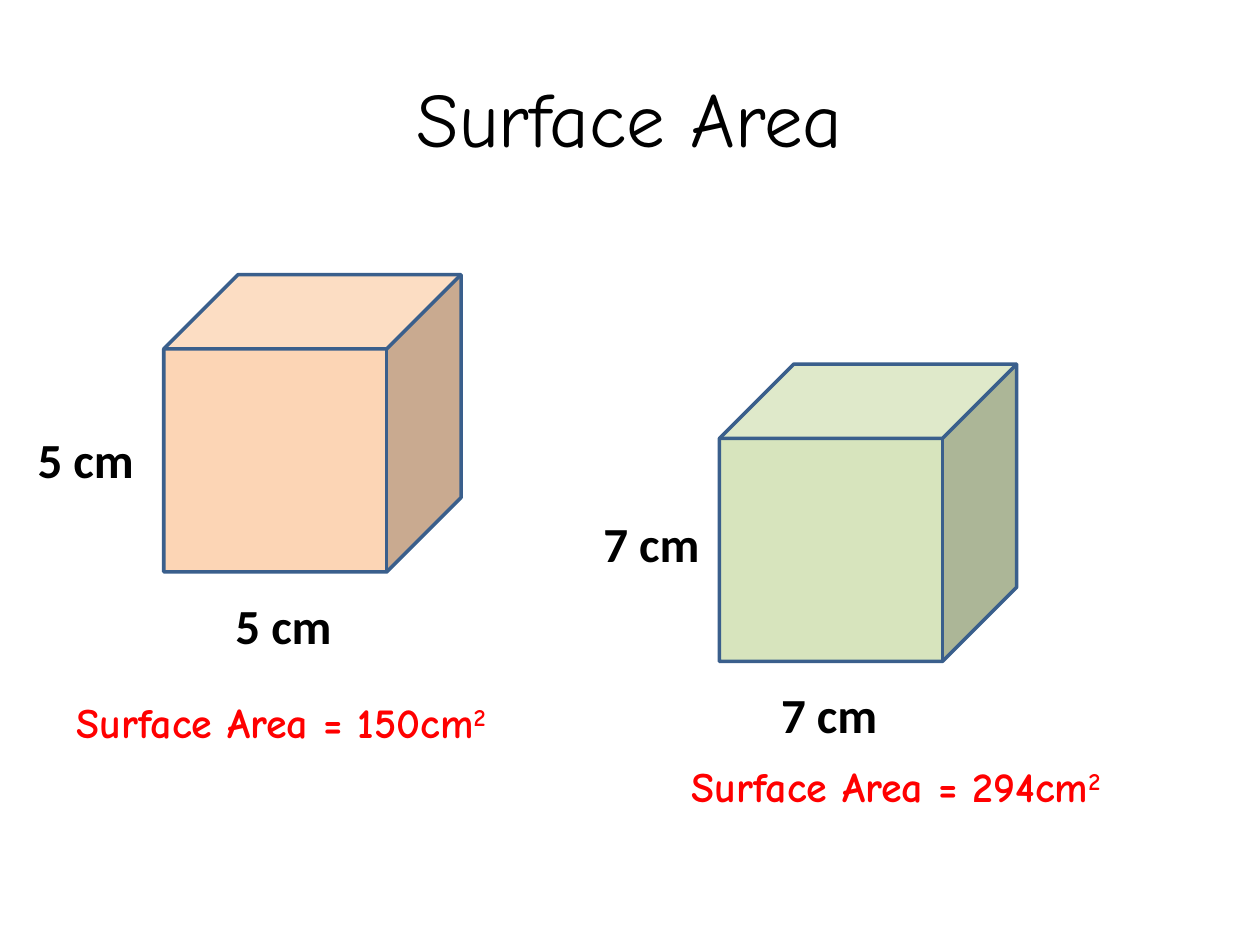
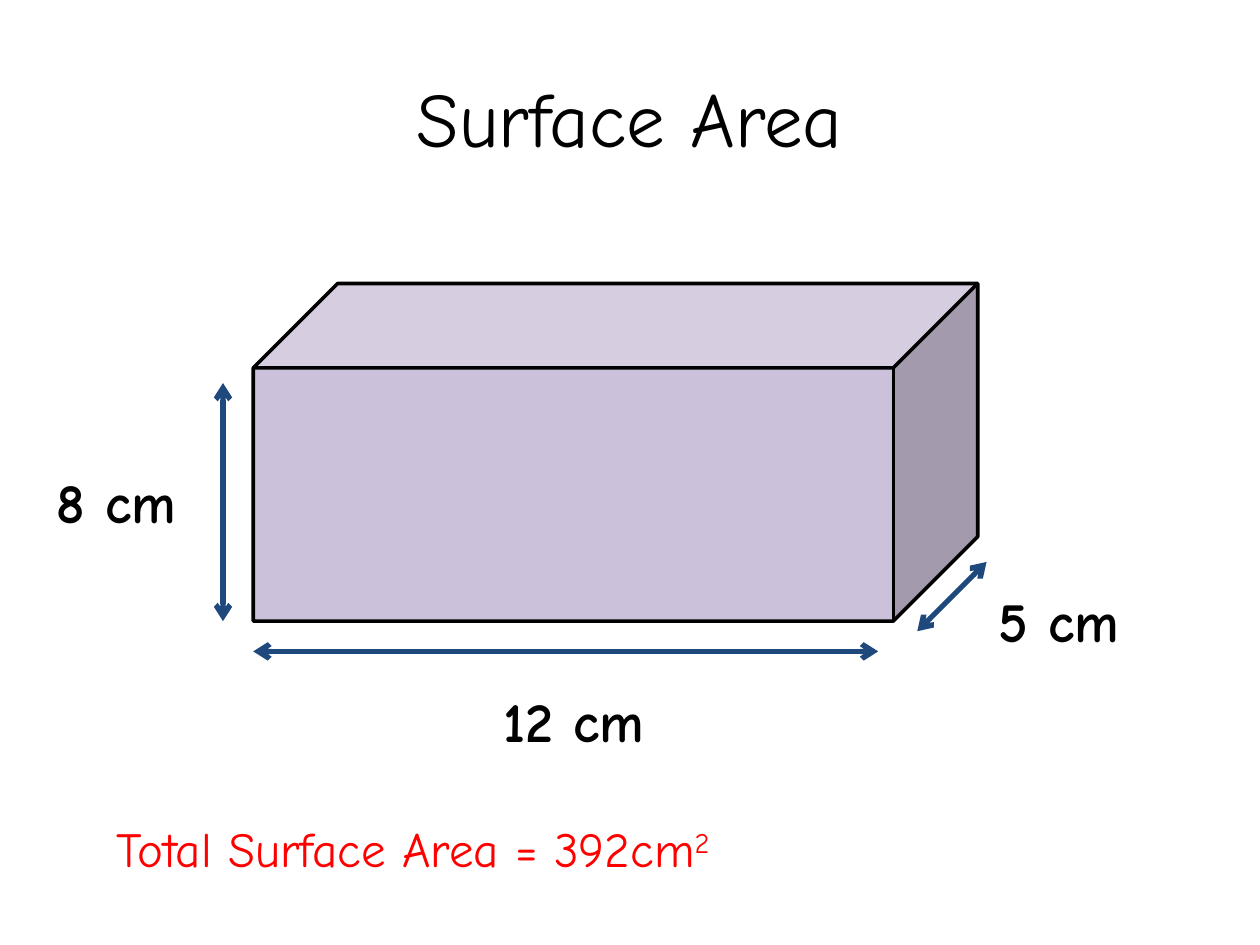
import pptx
import pptx.util
import pptx.dml.color
import pptx.enum.shapes
import pptx.enum.text
import pptx.oxml
import pptx.oxml.ns

Inches = pptx.util.Inches
Pt = pptx.util.Pt
HAND = "Comic Neue"
PLAIN = "Calibri"
BLACK = "000000"
RED = "FF0000"
NAVY = "1F497D"
STEEL = "3A5F8C"


def color(code):
    return pptx.dml.color.RGBColor.from_string(code)


def places(*sizes):
    return [Inches(size) for size in sizes]


class Deck:
    def __init__(self):
        self.show = pptx.Presentation()
        self.show.slide_width, self.show.slide_height = places(10, 7.5)
        self.slide = None

    def style(self, para, size, face=HAND, code=BLACK, bold=False):
        font = para.font
        font.name, font.size, font.bold = face, Pt(size), bold
        font.color.rgb = color(code)

    def page(self, title):
        """Start a slide with the shared title."""
        self.slide = self.show.slides.add_slide(self.show.slide_layouts[5])
        box = self.slide.shapes.title
        box.left, box.top, box.width, box.height = places(0.5, 0.3, 9, 1.25)
        frame = box.text_frame
        frame.text = title
        frame.vertical_anchor = pptx.enum.text.MSO_ANCHOR.MIDDLE
        para = frame.paragraphs[0]
        para.alignment = pptx.enum.text.PP_ALIGN.CENTER
        self.style(para, 44)

    def solid(self, left, top, width, height, fill, line):
        """Draw a box seen in depth."""
        shape = self.slide.shapes.add_shape(
            pptx.enum.shapes.MSO_SHAPE.CUBE, *places(left, top, width, height))
        shape.shadow.inherit = False
        shape.fill.solid()
        shape.fill.fore_color.rgb = color(fill)
        shape.line.color.rgb = color(line)
        shape.line.width = Pt(2)

    def text(self, words, left, top, width, height, size, power="", **look):
        """Add one line of text, with an optional superscript power."""
        box = self.slide.shapes.add_textbox(*places(left, top, width, height))
        frame = box.text_frame
        frame.word_wrap = True
        frame.auto_size = pptx.enum.text.MSO_AUTO_SIZE.SHAPE_TO_FIT_TEXT
        para = frame.paragraphs[0]
        para.add_run().text = words
        if power:
            run = para.add_run()
            run.text = power
            run.font._element.set("baseline", "30000")
        self.style(para, size, **look)

    def arrow(self, *ends):
        """Draw a measure line with a head at both ends."""
        line = self.slide.shapes.add_connector(
            pptx.enum.shapes.MSO_CONNECTOR.STRAIGHT, *places(*ends))
        line.line.color.rgb = color(NAVY)
        line.line.width = Pt(3)
        stroke = line.line._get_or_add_ln()
        for tag in ("a:headEnd", "a:tailEnd"):
            head = pptx.oxml.parse_xml(
                f'<{tag} {pptx.oxml.ns.nsdecls("a")} type="arrow"/>')
            stroke.append(head)
        line._element.spPr.append(pptx.oxml.parse_xml(
            f'<a:effectLst {pptx.oxml.ns.nsdecls("a")}/>'))


def cubes(deck):
    deck.page("Surface Area")
    # side, area, fill, then the corners of cube, base label, side label, answer
    rows = [
        (5, 150, "FCD5B5", (1.3, 2.18), (1.77, 4.68), (0.2, 3.36), (0.51, 5.48)),
        (7, 294, "D7E4BD", (5.71, 2.89), (6.1, 5.38), (4.69, 4.03), (5.39, 5.99)),
    ]
    for side, area, fill, cube, base, edge, answer in rows:
        deck.solid(*cube, 2.36, 2.36, fill, STEEL)
        for spot in (base, edge):
            deck.text(f"{side} cm", *spot, 1.02, 0.57, 28, face=PLAIN, bold=True)
        deck.text(f"Surface Area = {area}cm", *answer, 4.17, 0.5, 24, "2",
                  code=RED, bold=True)


def cuboid(deck):
    deck.page("Surface Area")
    deck.solid(2.01, 2.25, 5.75, 2.68, "CCC1DA", BLACK)
    sides = [
        (12, (2.01, 5.17, 6.97, 5.17), (3.9, 5.4)),
        (8, (1.77, 4.93, 1.77, 3.04), (0.35, 3.66)),
        (5, (7.28, 5.01, 7.83, 4.46), (7.83, 4.61)),
    ]
    for side, ends, spot in sides:
        deck.arrow(*ends)
        deck.text(f"{side} cm", *spot, 2.13, 0.64, 32, bold=True)
    deck.text("Total Surface Area = 392cm", 0.83, 6.45, 5.98, 0.57, 28, "2",
              code=RED)


def main():
    deck = Deck()
    cubes(deck)
    cuboid(deck)
    deck.show.save("out.pptx")


if __name__ == "__main__":
    main()
